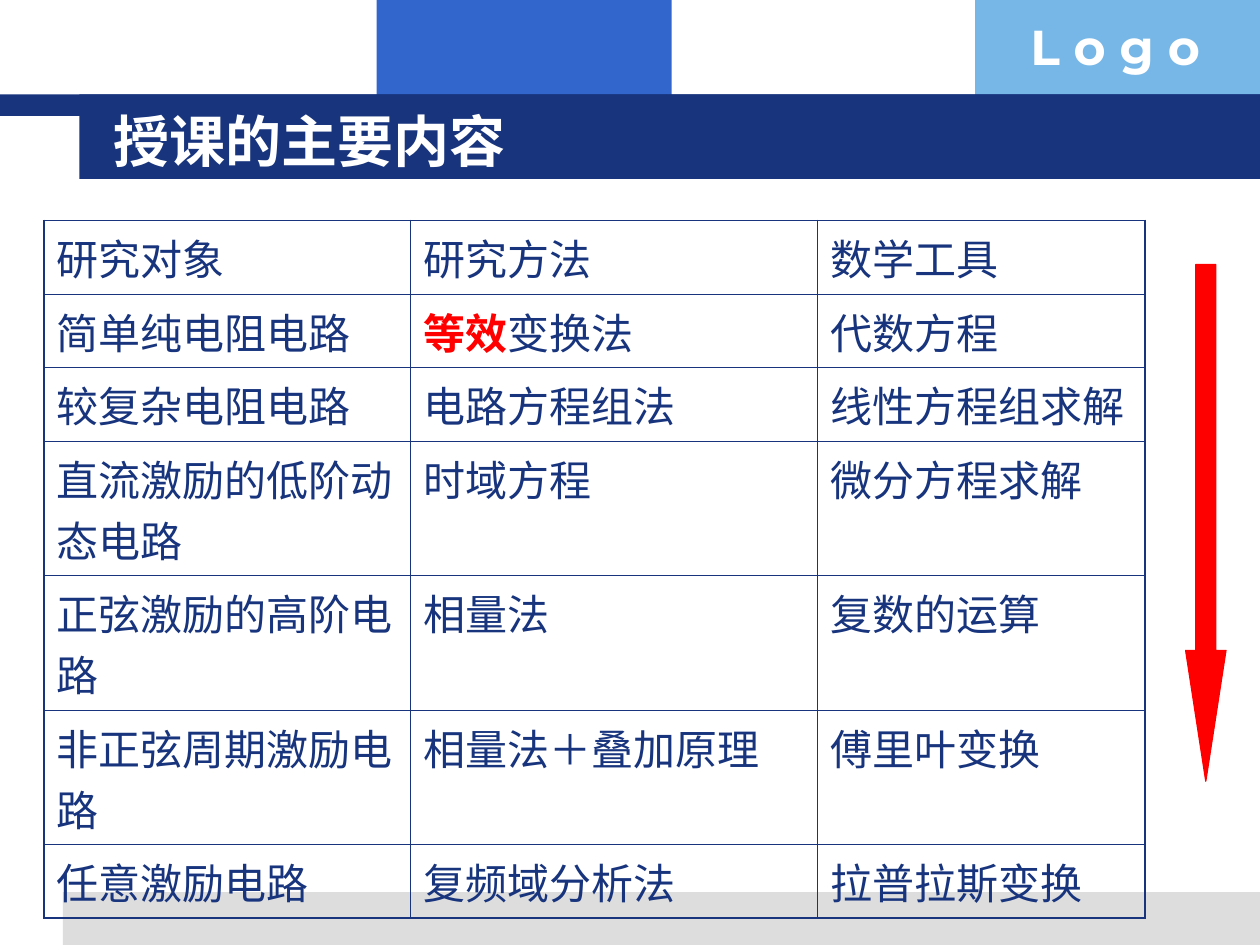
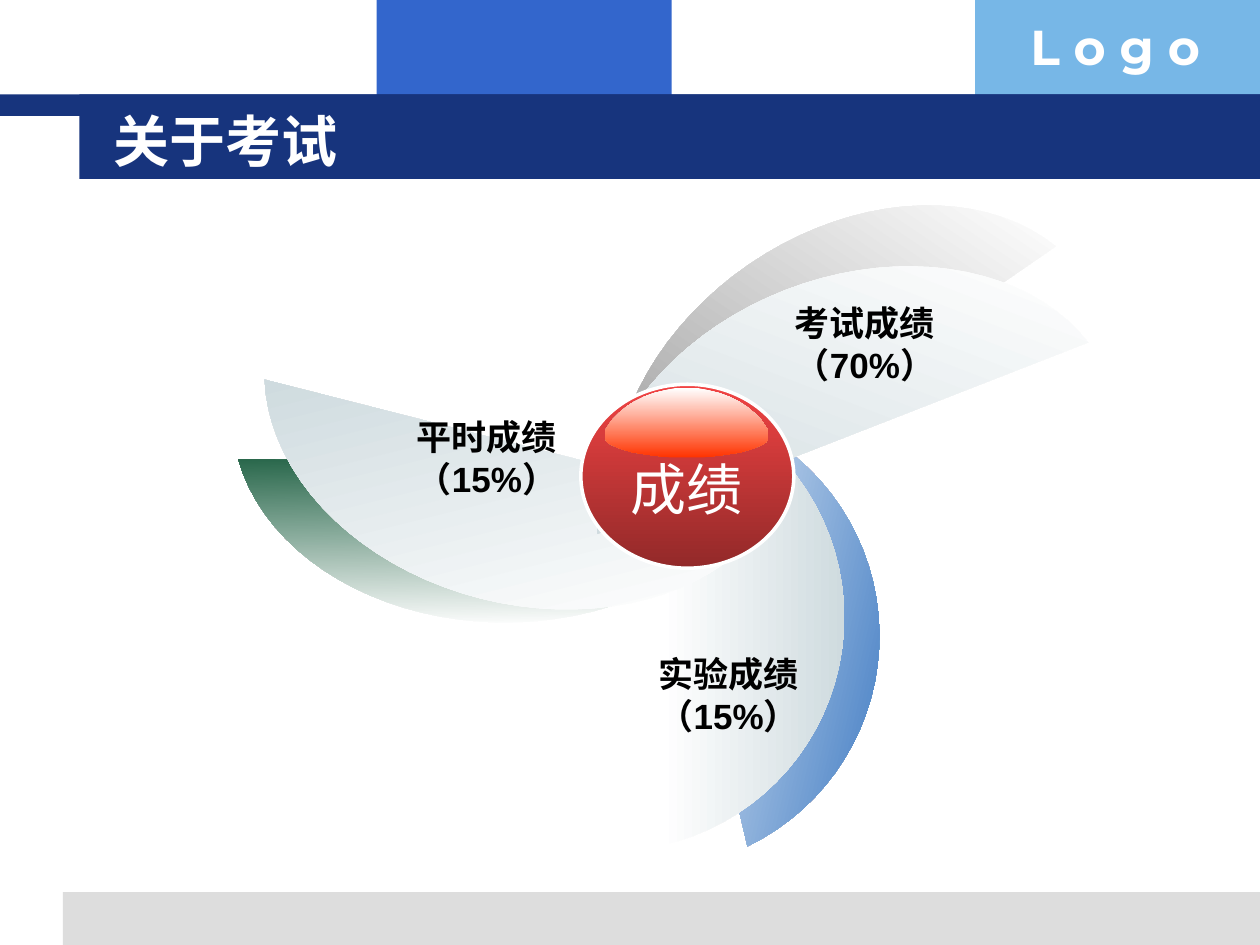
import math

import pptx
import pptx.util
import pptx.dml.color
import pptx.enum.shapes
import pptx.enum.text
import pptx.oxml
import pptx.oxml.ns


class Theme:
    navy, blue, sky, grey = "17347D", "3366CC", "77B7E7", "DDDDDD"
    white, black, red = "FFFFFF", "000000", "FF0000"
    mist, green, steel, ocean = "CFDBDF", "2A684C", "969696", "447EC4"
    rose, wine, flame = "F14343", "922929", "FF3300"
    head, logo, body, label = 32, 28, 24, 20
    face, bold, mark = "Arial", "DejaVu Sans", "Montserrat"
    thick, thin = 1.08, 0.45


Pt = pptx.util.Pt
RGB = pptx.dml.color.RGBColor.from_string
Kind = pptx.enum.shapes.MSO_SHAPE
Align = pptx.enum.text.PP_ALIGN
Fit = pptx.enum.text.MSO_AUTO_SIZE

deck = pptx.Presentation()
deck.slide_width = pptx.util.Inches(10)
deck.slide_height = pptx.util.Inches(7.5)
cell = deck.slide_width / 100  # square grid: 100 columns by 75 rows


def paint(shape, *tones, turn=0):
    """Fill with one tone, or blend two along a clockwise turn."""
    shape.shadow.inherit = False
    shape.line.fill.background()
    if len(tones) == 1:
        shape.fill.solid()
        shape.fill.fore_color.rgb = RGB(tones[0])
        return
    shape.fill.gradient()
    shape.fill.gradient_angle = (360 - turn) % 360
    for stop, tone in zip(shape.fill.gradient_stops, tones):
        stop.color.rgb = RGB(tone)


def ink(frame, size, tone, face, bold=False, align=Align.LEFT):
    """Format every run in a text frame."""
    for para in frame.paragraphs:
        para.alignment = align
        for run in para.runs:
            run.font.size, run.font.name = Pt(size), face
            run.font.bold, run.font.color.rgb = bold, RGB(tone)


# Slides and titles
layout = deck.slide_layouts[5]
slides = []
for words in ("授课的主要内容", "关于考试"):
    slide = deck.slides.add_slide(layout)
    title = slide.shapes.title
    title.left, title.top, title.width, title.height = (
        round(n * cell) for n in (8, 8, 85.3, 6.2))
    frame = title.text_frame
    frame.text = words
    frame.auto_size = Fit.NONE
    frame.vertical_anchor = pptx.enum.text.MSO_ANCHOR.MIDDLE
    ink(frame, Theme.head, Theme.white, Theme.bold, True)
    slides.append(slide)
plan, exam = slides

# Shared bands and mark, moved onto the layout
bands = [
    (29.9, 0, 23.4, 9.2, Theme.blue),
    (77.4, 0, 22.6, 9.2, Theme.sky),
    (5, 70.8, 95, 4.2, Theme.grey),
    (0, 7.5, 100, 1.7, Theme.navy),
    (6.3, 7.5, 93.7, 6.7, Theme.navy),
]
shared = []
for *spot, tone in bands:
    band = plan.shapes.add_shape(Kind.RECTANGLE, *(round(n * cell) for n in spot))
    paint(band, tone)
    shared.append(band)
mark = plan.shapes.add_textbox(*(round(n * cell) for n in (80.8, 0.8, 19.3, 5.7)))
mark.text_frame.text = "L o g o"
mark.text_frame.word_wrap = True
ink(mark.text_frame, Theme.logo, Theme.white, Theme.mark, True)
shared.append(mark)
for part in shared:
    layout.element.cSld.spTree.append(part.element)

# Table of topics
topics = [
    ("研究对象", "研究方法", "数学工具"),
    ("简单纯电阻电路", "等效变换法", "代数方程"),
    ("较复杂电阻电路", "电路方程组法", "线性方程组求解"),
    ("直流激励的低阶动态电路", "时域方程", "微分方程求解"),
    ("正弦激励的高阶电路", "相量法", "复数的运算"),
    ("非正弦周期激励电路", "相量法＋叠加原理", "傅里叶变换"),
    ("任意激励电路", "复频域分析法", "拉普拉斯变换"),
]
wide = (29.1, 32.3, 26)
tall = (5.6, 5.5, 5.6, 9, 9, 9, 5.6)
key = "等效"
last, end = len(topics) - 1, len(wide) - 1
grid = plan.shapes.add_table(
    len(tall), len(wide),
    *(round(n * cell) for n in (3.5, 17.5, sum(wide), sum(tall)))).table
grid.first_row = grid.horz_banding = False
for column, size in zip(grid.columns, wide):
    column.width = round(size * cell)
for r, line in enumerate(topics):
    grid.rows[r].height = round(tall[r] * cell)
    for c, words in enumerate(line):
        box = grid.cell(r, c)
        para = box.text_frame.paragraphs[0]
        para.space_before = Pt(6)
        strong = words.startswith(key)
        for piece in (key, words[len(key):]) if strong else (words,):
            para.add_run().text = piece
        ink(box.text_frame, Theme.body, Theme.navy, Theme.face)
        if strong:
            para.runs[0].font.bold = True
            para.runs[0].font.color.rgb = RGB(Theme.red)
        # Thick rule on the outer edge, thin rules inside
        edges = {"L": c == 0, "R": c == end, "T": r == 0, "B": r == last}
        for side, outer in edges.items():
            width = Pt(Theme.thick if outer else Theme.thin)
            box._tc.get_or_add_tcPr().append(pptx.oxml.parse_xml(
                f'<a:ln{side} {pptx.oxml.ns.nsdecls("a")} w="{width}"><a:solidFill>'
                f'<a:srgbClr val="{Theme.navy}"/></a:solidFill></a:ln{side}>'))
        box.fill.background()

# Arrow of rising difficulty
arrow = plan.shapes.add_shape(
    Kind.DOWN_ARROW, *(round(n * cell) for n in (94.1, 21, 3.2, 41)))
arrow.adjustments[0], arrow.adjustments[1] = 0.5, 3.24
paint(arrow, Theme.red)
arrow.line.color.rgb = RGB(Theme.red)
arrow.line.width = Pt(0.75)

# Petals: one arc, stretched to breadth and length, then turned
# centre x, centre y, breadth, length, turn, tone, blend turn
petals = [
    (62.25, 47.9, 14.5, 36.2, 346.8, Theme.ocean, 13),
    (39.7, 43.1, 12.6, 41.8, 91, Theme.green, 269),
    (63, 26.2, 12.6, 41.8, 235.5, Theme.steel, 124),
    (59.75, 49, 14.5, 36.2, 0, Theme.mist, 0),
    (39.7, 41.4, 12.6, 41.8, 104.3, Theme.mist, 256),
    (64.6, 28.9, 12.6, 41.8, 248.7, Theme.mist, 111),
]
half, steps = math.radians(77.4), 38
for mid, level, breadth, length, turn, tone, slant in petals:
    cos, sin = math.cos(math.radians(turn)), math.sin(math.radians(turn))
    dots = []
    for i in range(steps + 1):
        t = half * (2 * i / steps - 1)
        x = breadth * ((math.cos(t) - math.cos(half)) / (1 - math.cos(half)) - 0.5)
        y = length * math.sin(t) / math.sin(half) / 2
        dots.append(((mid + x * cos - y * sin) * cell,
                     (level + x * sin + y * cos) * cell))
    pen = exam.shapes.build_freeform(*dots[0])
    pen.add_line_segments(dots[1:], close=True)
    paint(pen.convert_to_shape(), Theme.white, tone, turn=slant)

# Central ball
ball = exam.shapes.add_shape(
    Kind.OVAL, *(round(n * cell) for n in (46.1, 30.5, 16.9, 14.6)))
paint(ball, Theme.rose, Theme.wine, turn=90)
ball.line.color.rgb = RGB(Theme.white)
ball.line.width = Pt(2)

# Gloss on the ball: right half, mirrored about its axis
axis = 54.5
rim = [(0, 30.8), (0.9, 30.8), (1.8, 31), (2.6, 31.2), (3.4, 31.5), (4.2, 31.9),
       (4.8, 32.3), (5.4, 32.8), (5.9, 33.3), (6.3, 33.9), (6.5, 34.2),
       (6.5, 34.8), (6.3, 35.1), (6, 35.3), (5.3, 35.6), (4.3, 35.9),
       (3, 36.1), (1.3, 36.3)]
dots = [((axis + x) * cell, y * cell) for x, y in rim]
dots += [((axis - x) * cell, y * cell) for x, y in rim[:0:-1]]
pen = exam.shapes.build_freeform(*dots[0])
pen.add_line_segments(dots[1:], close=True)
paint(pen.convert_to_shape(), Theme.white, Theme.flame, turn=90)

# Labels
labels = [
    ((49, 35.6, 10.9, 6.4), "成绩", Theme.head, Theme.white, Align.CENTER),
    ((30.8, 32.5, 14.4, 7.7), "平时成绩\n（15%）", Theme.label, Theme.black, Align.RIGHT),
    ((62.1, 23.4, 15.2, 7.7), "考试成绩（70%）", Theme.label, Theme.black, Align.LEFT),
    ((50, 51.3, 14.4, 7.7), "实验成绩\n（15%）", Theme.label, Theme.black, Align.RIGHT),
]
for spot, words, size, tone, align in labels:
    frame = exam.shapes.add_textbox(*(round(n * cell) for n in spot)).text_frame
    frame.text = words
    frame.word_wrap = align == Align.LEFT
    frame.auto_size = Fit.SHAPE_TO_FIT_TEXT
    ink(frame, size, tone, Theme.face, size == Theme.label, align)

deck.save("out.pptx")
